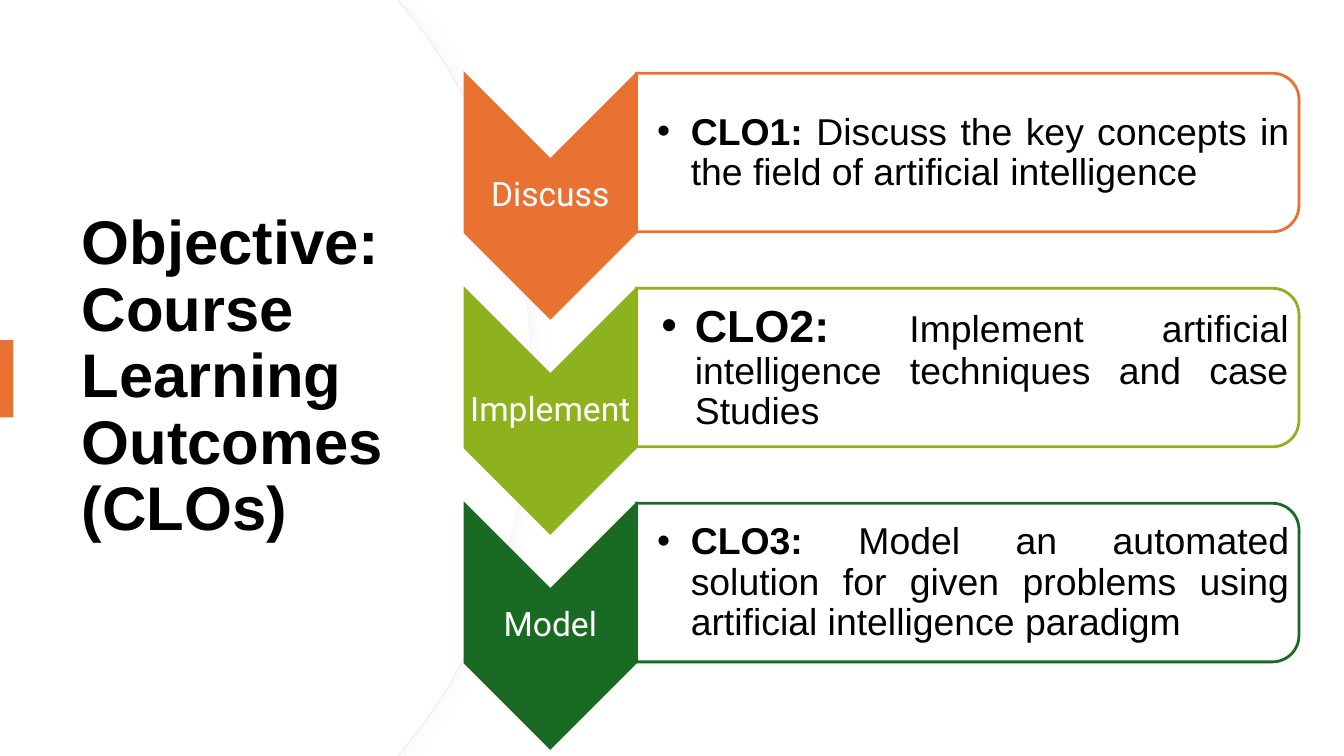
from lxml import etree
from pptx import Presentation
from pptx import util as u
from pptx.dml.color import RGBColor
from pptx.enum import shapes, text
from pptx.oxml import parse_xml
from pptx.oxml.ns import nsdecls, qn

PX = 4572  # EMU in one px, 200 px to the inch
WIDTH, HEIGHT = 2000, 1125
COLORS = {"white": "FFFFFF", "black": "000000", "edge": "EFEFEF",
          "shade": "D9D9D9", "orange": "E97132", "lime": "8EB21E",
          "green": "196B24"}

TITLE = "Objective: Course Learning Outcomes (CLOs)"
OUTCOMES = [
    # verb, colour, code, code size, text inset (left, other sides), statement
    ("Discuss", "orange", "CLO1: ", 20, (32, 2),
     "Discuss the key concepts in the field of artificial intelligence"),
    ("Implement", "lime", "CLO2: ", 24, (38, 3),
     "Implement artificial intelligence techniques and case Studies"),
    ("Model", "green", "CLO3: ", 20, (32, 2),
     "Model an automated solution for given problems using "
     "artificial intelligence paradigm"),
]
ROW_STEP = 320
# Boxes of the first row as seen: left, top, width, height
CHEVRON = (692, 111, 254, 362)
VERB = (692, 237, 254, 108)
CARD = (947, 109, 986, 236)
STATEMENT = (946, 122, 975, 212)


def px(value):
    return u.Emu(round(value * PX))


def rgb(name):
    return RGBColor.from_string(COLORS[name])


def paint(shape, fill, line=None, weight=1.5, alpha=None):
    shape.shadow.inherit = False
    shape.fill.solid()
    shape.fill.fore_color.rgb = rgb(fill)
    if alpha:
        color = shape.fill._xPr.find(qn("a:solidFill"))[0]
        etree.SubElement(color, qn("a:alpha"), val=str(alpha * 1000))
    if line:
        shape.line.color.rgb = rgb(line)
        shape.line.width = u.Pt(weight)
        etree.SubElement(shape.line._get_or_add_ln(), qn("a:miter"),
                         lim="800000")
    else:
        shape.line.fill.background()


def add_turned(page, kind, box, **style):
    """Add a preset turned by 90 degrees so that it covers the box."""
    left, top, width, height = box
    shift = (width - height) / 2
    shape = page.shapes.add_shape(kind, px(left + shift), px(top - shift),
                                  px(height), px(width))
    shape.rotation = 90
    paint(shape, **style)


def add_text(page, box, spans, font="Arial", color="black",
             align=text.PP_ALIGN.LEFT, insets=(20, 10), bullet=False):
    """Add one paragraph; spans are (text, size, bold), insets (left, others)."""
    frame = page.shapes.add_textbox(*map(px, box)).text_frame
    frame.word_wrap = True
    frame.vertical_anchor = text.MSO_ANCHOR.MIDDLE
    frame.margin_left = px(insets[0])
    frame.margin_top = frame.margin_right = frame.margin_bottom = px(insets[1])
    para = frame.paragraphs[0]
    if bullet:
        props = para._p.get_or_add_pPr()
        props.set("marL", str(px(50)))
        props.set("indent", str(px(-50)))
        etree.SubElement(props, qn("a:buFont"), typeface="Arial")
        etree.SubElement(props, qn("a:buChar"), char="•")
    para.alignment = align
    para.line_spacing = 0.9
    for words, size, bold in spans:
        span = para.add_run()
        span.text = words
        span.font.name = font
        span.font.size = u.Pt(size)
        span.font.bold = bold
        span.font.color.rgb = rgb(color)


def curve(start, first, second, end, steps=24):
    """Return points along a cubic curve, without its start."""
    points = []
    for step in range(1, steps + 1):
        t = step / steps
        points.append(tuple(
            (1 - t) ** 3 * a + 3 * t * (1 - t) ** 2 * b
            + 3 * t * t * (1 - t) * c + t ** 3 * d
            for a, b, c, d in zip(start, first, second, end)))
    return points


def add_panel(page, corner):
    """Add the title panel, whose right side bulges out past the corner."""
    middle = HEIGHT / 2
    bend = (corner + 10, 12)
    upper = [(corner, 0), bend] + curve(
        bend, (718, 152), (790, 348), (790, middle))
    lower = [(x, HEIGHT - y) for x, y in reversed(upper[:-1])]
    builder = page.shapes.build_freeform(0, 0, scale=PX)
    builder.add_line_segments(upper + lower + [(0, HEIGHT)], close=True)
    return builder.convert_to_shape()


def add_soft_shadow(shape):
    props = shape._element.spPr
    props.remove(props.find(qn("a:effectLst")))
    props.append(parse_xml(
        f'<a:effectLst {nsdecls("a")}>'
        f'<a:outerShdw blurRad="{u.Pt(7)}" dist="{u.Pt(3)}" dir="0">'
        f'<a:srgbClr val="{COLORS["shade"]}"><a:alpha val="15000"/></a:srgbClr>'
        '</a:outerShdw></a:effectLst>'))


def main():
    deck = Presentation()
    deck.slide_width, deck.slide_height = px(WIDTH), px(HEIGHT)
    page = deck.slides.add_slide(deck.slide_layouts[6])

    edge = add_panel(page, 592)
    paint(edge, "white", line="edge", weight=0.75)
    add_soft_shadow(edge)
    paint(add_panel(page, 590), "white")

    add_text(page, (102, 191, 592, 742), [(TITLE, 33, True)])
    marker = page.shapes.add_shape(shapes.MSO_SHAPE.RECTANGLE,
                                   *map(px, (0, 506, 20, 115)))
    paint(marker, "orange")

    for row, (verb, color, code, size, insets, words) in enumerate(OUTCOMES):
        chevron, label, card, statement = (
            (left, top + row * ROW_STEP, width, height)
            for left, top, width, height in (CHEVRON, VERB, CARD, STATEMENT))
        add_turned(page, shapes.MSO_SHAPE.CHEVRON, chevron,
                   fill=color, line=color)
        add_text(page, label, [(verb, 18, False)], font="Roboto",
                 color="white", align=text.PP_ALIGN.CENTER, insets=(2, 2))
        add_turned(page, shapes.MSO_SHAPE.ROUND_2_SAME_RECTANGLE, card,
                   fill="white", line=color, alpha=90)
        add_text(page, statement, [(code, size, True), (words, 20, False)],
                 align=text.PP_ALIGN.JUSTIFY, insets=insets, bullet=True)

    deck.save("out.pptx")


if __name__ == "__main__":
    main()
